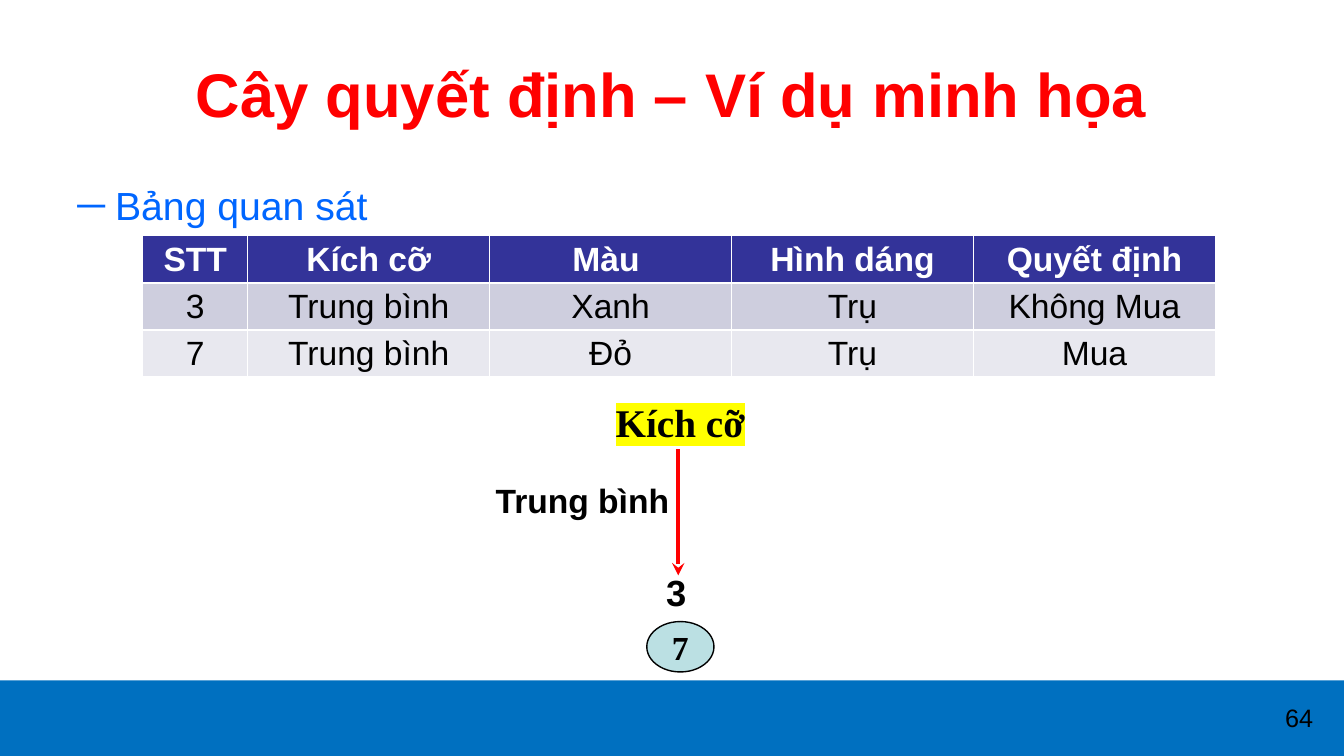
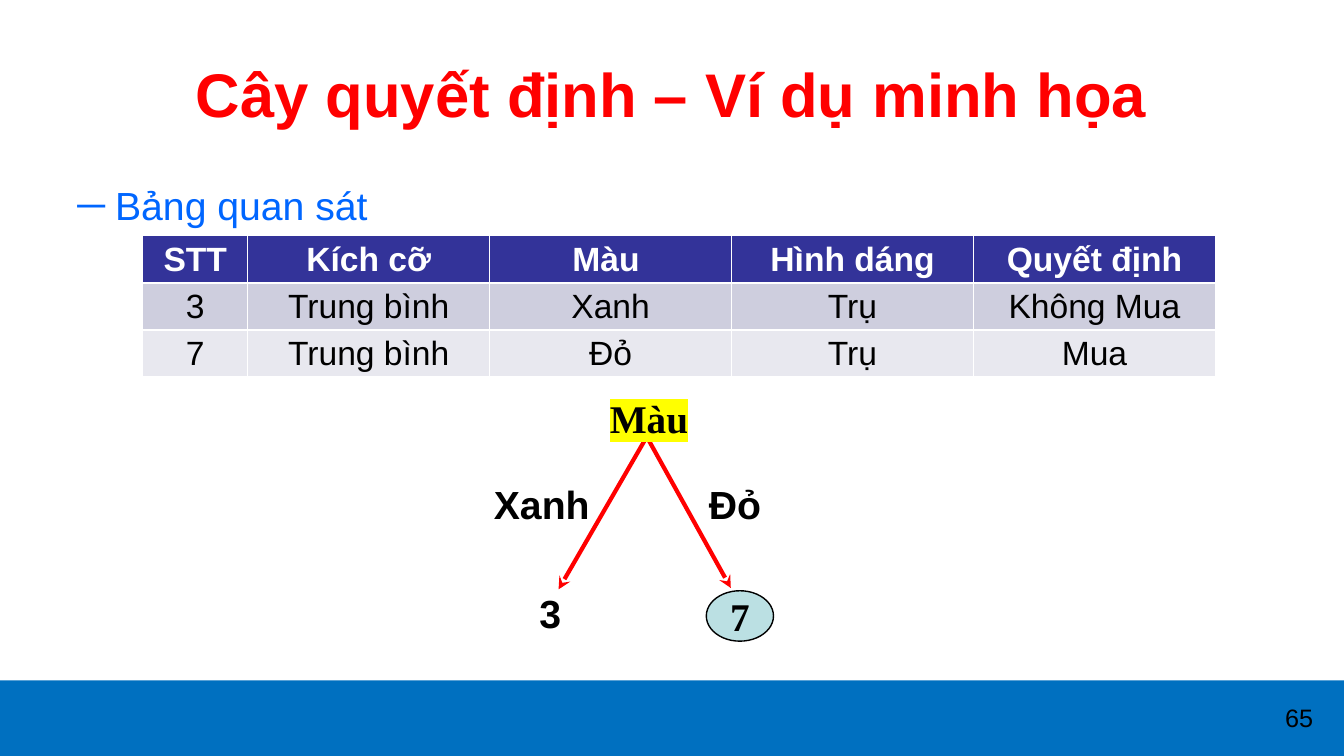
"""Build two slides that walk through a decision tree example."""
from dataclasses import dataclass

from lxml import etree
from pptx import Presentation
from pptx import util as u
from pptx.dml.color import RGBColor
from pptx.enum import shapes, text
from pptx.oxml import ns


@dataclass(frozen=True)
class Theme:
    sans: str = "Arial"
    serif: str = "Times New Roman"
    title: str = "FF0000"
    bullet: str = "0066FF"
    band: str = "0070C0"
    ink: str = "000000"
    white: str = "FFFFFF"
    header: str = "333399"
    stripes: tuple = ("CECEDE", "E8E8EF")
    leaf: str = "BBE0E3"
    arrow: str = "FF0000"
    highlight: str = "FFFF00"
    title_size: int = 44
    body_size: int = 28
    table_size: int = 24
    leaf_size: int = 26
    number_size: int = 18


THEME = Theme()
TITLE = "Cây quyết định – Ví dụ minh họa"
HEADING = "Bảng quan sát"
OBSERVATIONS = [
    ["STT", "Kích cỡ", "Màu ", "Hình dáng", "Quyết định"],
    ["3", "Trung bình", "Xanh", "Trụ", "Không Mua"],
    ["7", "Trung bình", "Đỏ", "Trụ", "Mua"],
]


def points(*lengths):
    return [u.Pt(length) for length in lengths]


def colour(code):
    return RGBColor.from_string(code)


def add_xml(parent, tag, **attributes):
    return etree.SubElement(parent, ns.qn(tag), attributes)


def style(para, size, code=THEME.ink, bold=True, face=THEME.sans, align=text.PP_ALIGN.CENTER):
    para.alignment = align
    para.font.size = u.Pt(size)
    para.font.name = face
    para.font.bold = bold
    para.font.color.rgb = colour(code)


def fill(target, code):
    target.fill.solid()
    target.fill.fore_color.rgb = colour(code)


def prepare_layout(deck):
    layout = deck.slide_layouts[1]
    places = [(48, 21.6, 864, 90), (48, 126, 864, 356.4)]
    for holder, place in zip(layout.placeholders, places):
        holder.left, holder.top, holder.width, holder.height = points(*place)
    return layout


def share_band(slide, master):
    band = slide.shapes.add_shape(shapes.MSO_SHAPE.RECTANGLE, *points(0, 486, 960, 54))
    band.shadow.inherit = False
    fill(band, THEME.band)
    band.line.fill.background()
    master.element.cSld.spTree.insert(2, band.element)


def add_label(slide, place, words, size, wrap=True, face=THEME.sans, bold=True):
    box = slide.shapes.add_textbox(*points(*place))
    frame = box.text_frame
    frame.word_wrap = wrap
    frame.vertical_anchor = text.MSO_ANCHOR.MIDDLE
    para = frame.paragraphs[0]
    span = para.add_run()
    span.text = words
    style(para, size, bold=bold, face=face)
    return span


def add_attribute(slide, place, words):
    span = add_label(slide, place, words, THEME.body_size, wrap=False, face=THEME.serif)
    marker = add_xml(span.font._element, "a:highlight")
    add_xml(marker, "a:srgbClr", val=THEME.highlight)


def add_leaf(slide, left, top, words, size):
    leaf = slide.shapes.add_shape(shapes.MSO_SHAPE.OVAL, *points(left, top, 48, 36))
    leaf.shadow.inherit = False
    fill(leaf, THEME.leaf)
    leaf.line.color.rgb = colour(THEME.ink)
    leaf.line.width = u.Pt(1)
    frame = leaf.text_frame
    frame.word_wrap = False
    frame.vertical_anchor = text.MSO_ANCHOR.MIDDLE
    frame.text = words
    style(frame.paragraphs[0], size, face=THEME.serif)


def add_arrow(slide, start, end):
    arrow = slide.shapes.add_connector(
        shapes.MSO_CONNECTOR.STRAIGHT, *points(*start, *end))
    arrow.line.color.rgb = colour(THEME.arrow)
    arrow.line.width = u.Pt(3)
    add_xml(arrow.get_or_add_ln(), "a:tailEnd", type="stealth")
    add_xml(arrow.element.spPr, "a:effectLst")


def add_observations(slide):
    widths = [75] + [172.8] * 4
    height = 33.6
    rows = len(OBSERVATIONS)
    table = slide.shapes.add_table(
        rows, len(widths), *points(102, 168.5, sum(widths), height * rows)).table
    for column, width in zip(table.columns, widths):
        column.width = u.Pt(width)
    fills = (THEME.header, *THEME.stripes)
    for index, (row, values) in enumerate(zip(table.rows, OBSERVATIONS)):
        row.height = u.Pt(height)
        is_header = index == 0
        for cell, value in zip(row.cells, values):
            cell.text = value
            cell.margin_top = cell.margin_bottom = 0
            cell.vertical_anchor = text.MSO_ANCHOR.MIDDLE
            fill(cell, fills[index])
            style(cell.text_frame.paragraphs[0], THEME.table_size,
                  THEME.white if is_header else THEME.ink, bold=is_header)


def add_example(deck, layout, number):
    slide = deck.slides.add_slide(layout)
    title, body = slide.placeholders
    title.text_frame.text = TITLE
    style(title.text_frame.paragraphs[0], THEME.title_size, THEME.title)
    body.text_frame.text = HEADING
    para = body.text_frame.paragraphs[0]
    add_xml(para._p.get_or_add_pPr(), "a:buChar", char="─")
    style(para, THEME.body_size, THEME.bullet, bold=False, align=text.PP_ALIGN.LEFT)
    add_label(slide, (896, 498, 64, 29), number, THEME.number_size, bold=False)
    add_observations(slide)
    return slide


def draw_size_tree(slide):
    add_arrow(slide, (484.5, 321), (484.5, 411))
    add_leaf(slide, 462, 444, "7", THEME.table_size)
    add_label(slide, (317, 336, 198, 42), "Trung bình", THEME.table_size)
    add_label(slide, (426, 402, 114, 42), "3", THEME.leaf_size)
    add_attribute(slide, (432, 281, 108, 41), "Kích cỡ")


def draw_colour_tree(slide):
    for end in [(522, 420), (399, 421)]:
        add_arrow(slide, (462, 312), end)
    add_leaf(slide, 504.5, 422, "7", THEME.body_size)
    for left, words in [(336, "Xanh"), (474, "Đỏ")]:
        add_label(slide, (left, 342, 102, 36), words, THEME.body_size)
    add_label(slide, (336, 417, 114, 42), "3", THEME.body_size)
    add_attribute(slide, (428, 278, 71, 41), "Màu")


def main():
    deck = Presentation()
    deck.slide_width, deck.slide_height = points(960, 540)
    layout = prepare_layout(deck)
    size_slide = add_example(deck, layout, "64")
    share_band(size_slide, deck.slide_master)
    draw_size_tree(size_slide)
    draw_colour_tree(add_example(deck, layout, "65"))
    deck.save("out.pptx")


if __name__ == "__main__":
    main()
